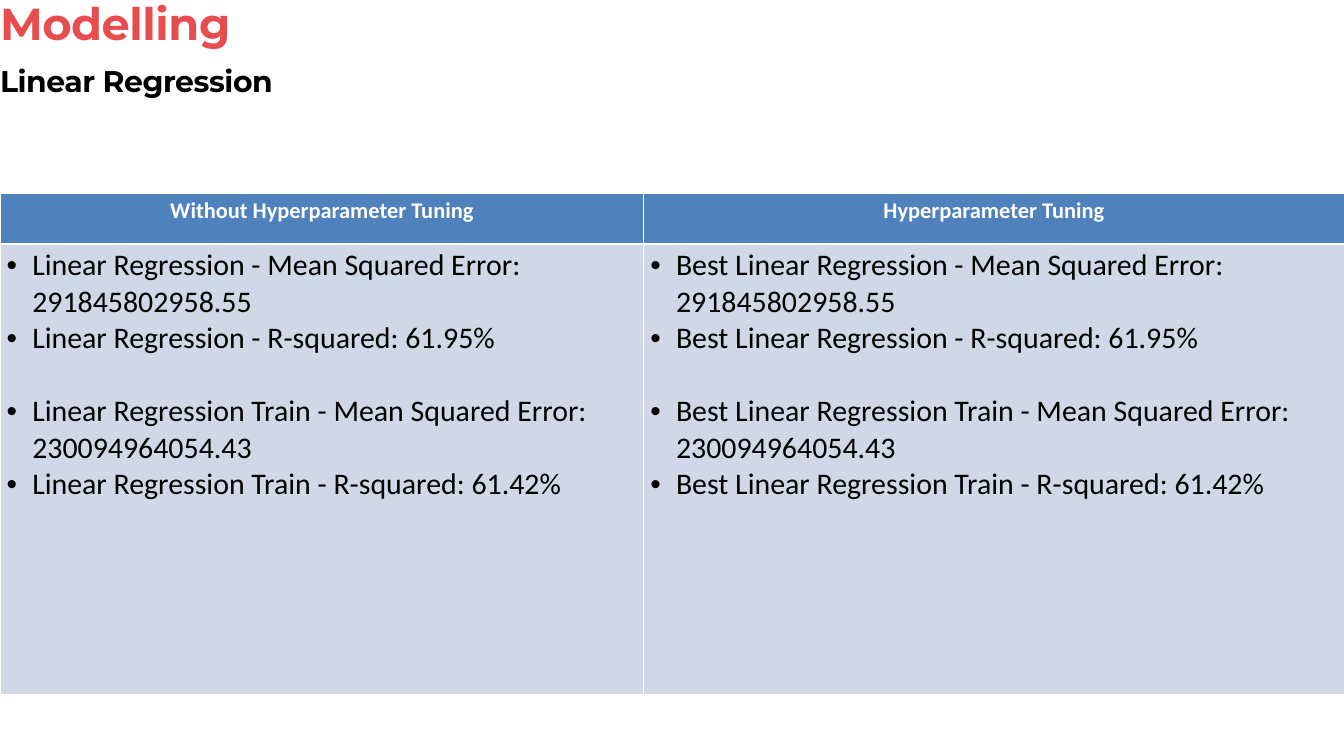
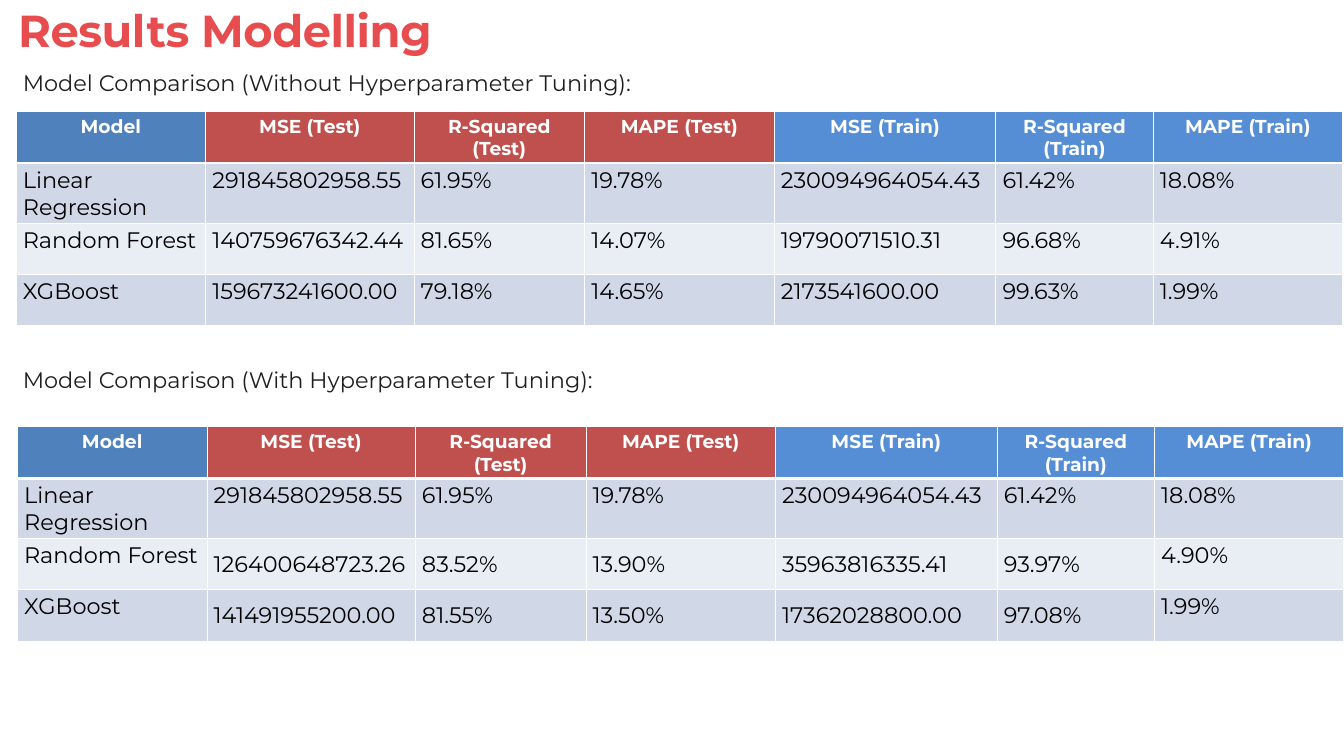
from lxml.etree import SubElement
from pptx import Presentation
from pptx.dml.color import RGBColor
from pptx.enum.text import MSO_ANCHOR, MSO_AUTO_SIZE, PP_ALIGN
from pptx.oxml.ns import qn
from pptx.util import Inches, Pt

# The slide is a grid of 20 columns by 11.25 rows, one inch each.
COLS, ROWS = 20, 11.25
COLOR = {
    "title": "E74D4E",
    "ink": "000000",
    "label": "1F1F1F",
    "white": "FFFFFF",
    "head": "4F81BD",
    "test": "C0504D",
    "train": "558ED5",
    "odd": "D0D8E8",
    "even": "E9EDF4",
}
BRAND, PLAIN = "Montserrat", "Calibri"
MIDDLE, TOP = MSO_ANCHOR.MIDDLE, MSO_ANCHOR.TOP

SCORES = ["MSE", "R-Squared", "MAPE"]
SETS = ["Test", "Train"]
HEADS = ["Model"] + [f"{score} ({part})" for part in SETS for score in SCORES]
HEAD_FILLS = ["head"] + [part.lower() for part in SETS for _ in SCORES]
WIDTHS = [2.82, 3.1, 2.54, 2.82, 3.3, 2.34, 2.82]
HEIGHTS = [0.76, 0.85, 0.76, 0.76]

LINEAR = ["Linear Regression", "291845802958.55", "61.95%", "19.78%",
          "230094964054.43", "61.42%", "18.08%"]
UNTUNED = [
    LINEAR,
    ["Random Forest", "140759676342.44", "81.65%", "14.07%",
     "19790071510.31", "96.68%", "4.91%"],
    ["XGBoost", "159673241600.00", "79.18%", "14.65%",
     "2173541600.00", "99.63%", "1.99%"],
]
TUNED = [
    LINEAR,
    ["Random Forest", "126400648723.26", "83.52%", "13.90%",
     "35963816335.41", "93.97%", "4.90%"],
    ["XGBoost", "141491955200.00", "81.55%", "13.50%",
     "17362028800.00", "97.08%", "1.99%"],
]
FITS = [
    "Linear Regression - Mean Squared Error: 291845802958.55",
    "Linear Regression - R-squared: 61.95%",
    "Linear Regression Train - Mean Squared Error: 230094964054.43",
    "Linear Regression Train - R-squared: 61.42%",
]


def rgb(name):
    return RGBColor.from_string(COLOR[name])


def style(para, font, size, color, bold=False):
    for run in para.runs:
        run.font.name = font
        run.font.size = Pt(size)
        run.font.bold = bold
        run.font.color.rgb = rgb(color)


def place(shape, left, top, width, height):
    shape.left, shape.top = Inches(left), Inches(top)
    shape.width, shape.height = Inches(width), Inches(height)


def add_page(deck, box, title, subtitle=None):
    """Add a title-only slide; the subtitle is a second line of the title."""
    page = deck.slides.add_slide(deck.slide_layouts[5])
    place(page.shapes.title, *box)
    frame = page.shapes.title.text_frame
    frame.text = f"{title}\n{subtitle}" if subtitle else title
    frame.word_wrap = True
    frame.auto_size = MSO_AUTO_SIZE.SHAPE_TO_FIT_TEXT
    frame.vertical_anchor = TOP
    frame.margin_left = frame.margin_right = 0
    frame.margin_top = frame.margin_bottom = 0
    looks = [(48, "title"), (32, "ink")]
    for para, (size, color) in zip(frame.paragraphs, looks):
        para.alignment = PP_ALIGN.LEFT
        para.line_spacing = Pt(52.8)
        para.space_before = Pt(0)
        style(para, BRAND, size, color, True)
        for run in para.runs:
            run.font._element.set("spc", "-50")
    return page


def add_label(page, box, text):
    shape = page.shapes.add_textbox(0, 0, 0, 0)
    place(shape, *box)
    frame = shape.text_frame
    frame.text = text
    frame.word_wrap = False
    frame.auto_size = MSO_AUTO_SIZE.SHAPE_TO_FIT_TEXT
    style(frame.paragraphs[0], BRAND, 24, "label")


def add_grid(page, left, top, widths, heights):
    frame = page.shapes.add_table(
        len(heights), len(widths), Inches(left), Inches(top),
        Inches(sum(widths)), Inches(sum(heights)))
    table = frame.table
    for col, width in zip(table.columns, widths):
        col.width = Inches(width)
    for row, height in zip(table.rows, heights):
        row.height = Inches(height)
    return table


def paint(cell, fill, row):
    """Rule the cell in white, thick below the header row, and fill it."""
    props = cell._tc.get_or_add_tcPr()
    thick = {(0, "B"), (1, "T")}
    for side in "LRTB":
        weight = 3 if (row, side) in thick else 1
        line = SubElement(props, qn(f"a:ln{side}"), w=str(Pt(weight)))
        solid = SubElement(line, qn("a:solidFill"))
        SubElement(solid, qn("a:srgbClr"), val=COLOR["white"])
    cell.fill.solid()
    cell.fill.fore_color.rgb = rgb(fill)


def fill_head(cell, text, fill, font, size):
    paint(cell, fill, 0)
    cell.text_frame.text = text
    para = cell.text_frame.paragraphs[0]
    para.alignment = PP_ALIGN.CENTER
    style(para, font, size, "white", True)


def fill_list(cell, items):
    """Write the items as bullets, with a gap before the train pair."""
    paint(cell, "odd", 1)
    cell.text_frame.text = "\n".join(items)
    for i, para in enumerate(cell.text_frame.paragraphs):
        props = para._p.get_or_add_pPr()
        indent = Inches(0.38)
        props.set("marL", str(indent))
        props.set("indent", str(-indent))
        SubElement(props, qn("a:buFont"), typeface="Arial")
        SubElement(props, qn("a:buChar"), char="•")
        if i == len(items) // 2:
            para.space_before = Pt(39)
        style(para, PLAIN, 32, "ink")


def add_scores(page, left, top, models, centred=False):
    """Add a score table; centred sets the inner scores below row one mid-cell."""
    table = add_grid(page, left, top, WIDTHS, HEIGHTS)
    for col, (head, fill) in enumerate(zip(HEADS, HEAD_FILLS)):
        fill_head(table.cell(0, col), head, fill, BRAND, 20)
    for row, model in enumerate(models, 1):
        for col, text in enumerate(model):
            cell = table.cell(row, col)
            paint(cell, "odd" if row % 2 else "even", row)
            cell.text_frame.text = text
            inner = row > 1 and 0 < col < len(model) - 1
            cell.vertical_anchor = MIDDLE if centred and inner else TOP
            style(cell.text_frame.paragraphs[0], BRAND, 24, "ink")


def add_fits(deck):
    page = add_page(deck, (0, 0, 13.28, 1.43), "Modelling", "Linear Regression")
    table = add_grid(page, 0, 2.88, [9.58, 10.42], [0.75, 6.71])
    sides = [("Without Hyperparameter Tuning", ""),
             ("Hyperparameter Tuning", "Best ")]
    for col, (head, prefix) in enumerate(sides):
        fill_head(table.cell(0, col), head, "head", PLAIN, 24)
        fill_list(table.cell(1, col), [prefix + fit for fit in FITS])


def add_results(deck):
    page = add_page(deck, (0.27, 0.1, 13.15, 0.74), "Results Modelling")
    add_scores(page, 0.24, 1.66, UNTUNED)
    add_label(page, (0.24, 0.98, 9.38, 0.5),
              "Model Comparison (Without Hyperparameter Tuning):")
    add_scores(page, 0.26, 6.35, TUNED, centred=True)
    add_label(page, (0.24, 5.4, 8.81, 0.5),
              "Model Comparison (With Hyperparameter Tuning):")


def main():
    deck = Presentation()
    deck.slide_width, deck.slide_height = Inches(COLS), Inches(ROWS)
    add_fits(deck)
    add_results(deck)
    deck.save("out.pptx")


if __name__ == "__main__":
    main()
